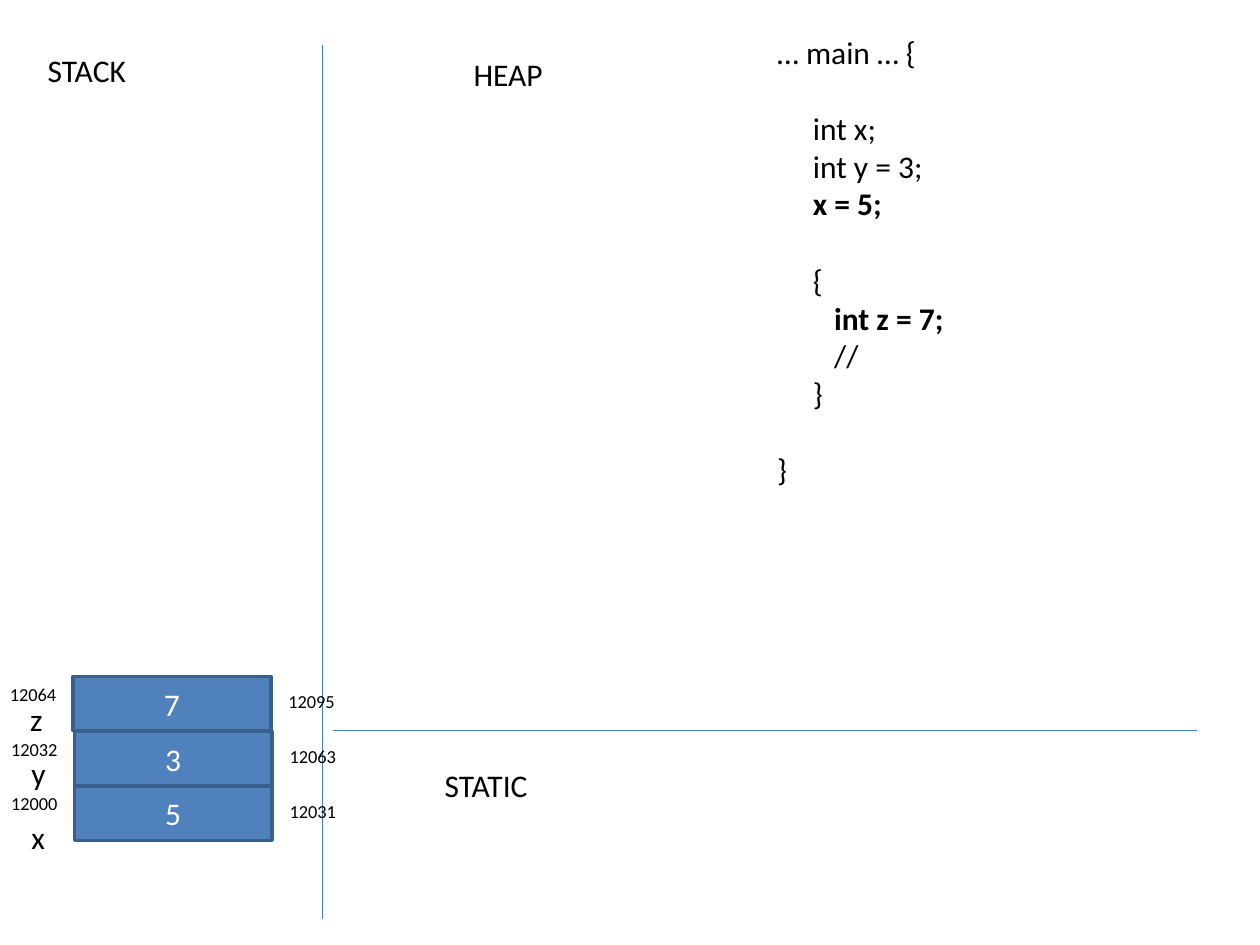
from pptx import Presentation
from pptx.dml.color import RGBColor
from pptx.enum.shapes import MSO_CONNECTOR, MSO_SHAPE
from pptx.enum.text import MSO_ANCHOR, MSO_AUTO_SIZE, PP_ALIGN
from pptx.util import Inches, Pt
from lxml import etree

RECT = MSO_SHAPE.RECTANGLE
LINE = MSO_CONNECTOR.STRAIGHT
MIDDLE = MSO_ANCHOR.MIDDLE
GROW = MSO_AUTO_SIZE.SHAPE_TO_FIT_TEXT
CENTER = PP_ALIGN.CENTER
COLS, ROWS = 100, 75
DRAW = "{http://schemas.openxmlformats.org/drawingml/2006/main}"
COLORS = {"ink": "000000", "paper": "FFFFFF", "cell": "4F81BD",
          "edge": "3A5F8C", "rule": "4B7EBC"}


class Board:
    font = "Calibri"
    size = 18
    small = 10.5

    def __init__(self, deck):
        self.slide = deck.slides.add_slide(deck.slide_layouts[6])
        self.col = deck.slide_width / COLS
        self.row = deck.slide_height / ROWS

    def place(self, x, y, w, h):
        return (round(x * self.col), round(y * self.row),
                round(w * self.col), round(h * self.row))

    def color(self, name):
        return RGBColor.from_string(COLORS[name])

    def style(self, para, size, ink="ink", bold=False):
        for run in para.runs:
            run.font.name = self.font
            run.font.size = Pt(size)
            run.font.bold = bold
            run.font.color.rgb = self.color(ink)

    def label(self, text, x, y, w, h=4, size=size):
        frame = self.slide.shapes.add_textbox(*self.place(x, y, w, h)).text_frame
        frame.word_wrap = False
        frame.auto_size = GROW
        frame.text = text
        self.style(frame.paragraphs[0], size)

    def code(self, lines, x, y, w, h):
        frame = self.slide.shapes.add_textbox(*self.place(x, y, w, h)).text_frame
        frame.word_wrap = True
        frame.auto_size = GROW
        frame.text = "\n".join(line[0] for line in lines)
        for para, (_, indent, gap, bold) in zip(frame.paragraphs, lines):
            self.style(para, self.size, bold=bold)
            para.space_before = Pt(gap * 22)
            para._p.get_or_add_pPr().set("marL", str(round(indent * self.col)))

    def rule(self, x, y, w, h):
        left, top, wide, high = self.place(x, y, w, h)
        line = self.slide.shapes.add_connector(
            LINE, left, top, left + wide, top + high)
        line.line.color.rgb = self.color("rule")
        line.line.width = Pt(0.75)
        etree.SubElement(line._element.spPr, DRAW + "effectLst")

    def cell(self, text, x, y, w, h):
        box = self.slide.shapes.add_shape(RECT, *self.place(x, y, w, h))
        box.shadow.inherit = False
        box.fill.solid()
        box.fill.fore_color.rgb = self.color("cell")
        box.line.color.rgb = self.color("edge")
        box.line.width = Pt(2)
        frame = box.text_frame
        frame.vertical_anchor = MIDDLE
        frame.text = text
        para = frame.paragraphs[0]
        para.alignment = CENTER
        self.style(para, self.size, "paper")

    def slot(self, name, value, start, x, y, drop):
        self.cell(value, x, y, 15.7, 4.3)
        self.label(name, x - 4.4, y + drop, 3.1)
        self.label(str(start), x - 6, y, 5.8, 2.8, self.small)
        self.label(str(start + 31), x + 16.1, y + 0.6, 5.8, 2.8, self.small)


deck = Presentation()
deck.slide_width = Inches(10)
deck.slide_height = Inches(7.5)
board = Board(deck)

board.code([
    ("… main … {", 0, 0, False),
    ("int x;", 2.83, 1, False),
    ("int y = 3;", 2.83, 0, False),
    ("x = 5;", 2.83, 0, True),
    ("{", 2.83, 1, False),
    ("int z = 7;", 4.52, 0, True),
    ("//", 4.52, 0, False),
    ("}", 2.83, 0, False),
    ("}", 0, 1, False),
], 60.7, 2.1, 34.3, 37.4)

board.rule(25.6, 3.6, 0, 69.3)
board.rule(26.4, 58, 68.6, 0)

for text, x, y, w in [("STACK", 2.8, 3.6, 8.3), ("HEAP", 36.6, 3.9, 7.5),
                      ("STATIC", 34.3, 60.3, 8.7)]:
    board.label(text, x, y, w)

slots = [("x", "5", 5.9, 2), ("y", "3", 5.9, 1.3), ("z", "7", 5.8, 1.4)]
for i, (name, value, x, drop) in enumerate(slots):
    board.slot(name, value, 12000 + 32 * i, x, 62.4 - 4.35 * i, drop)

deck.save("out.pptx")
